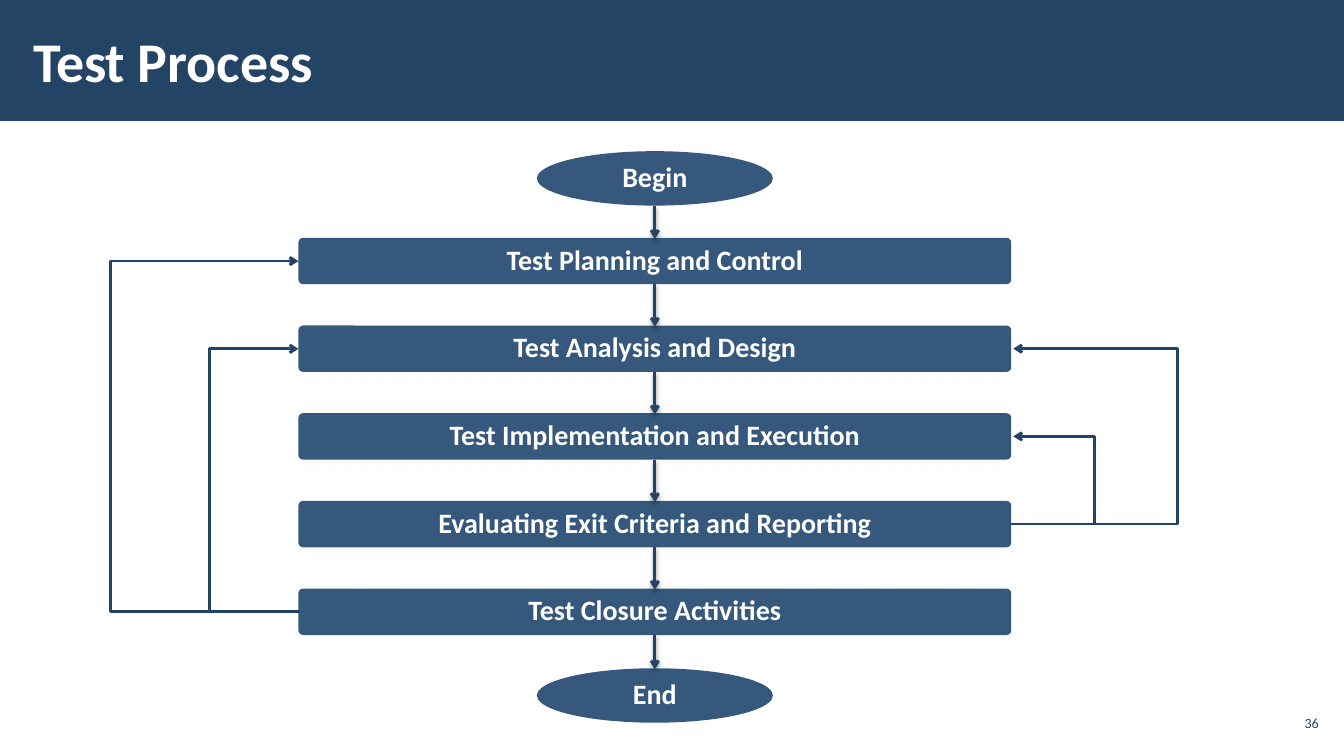
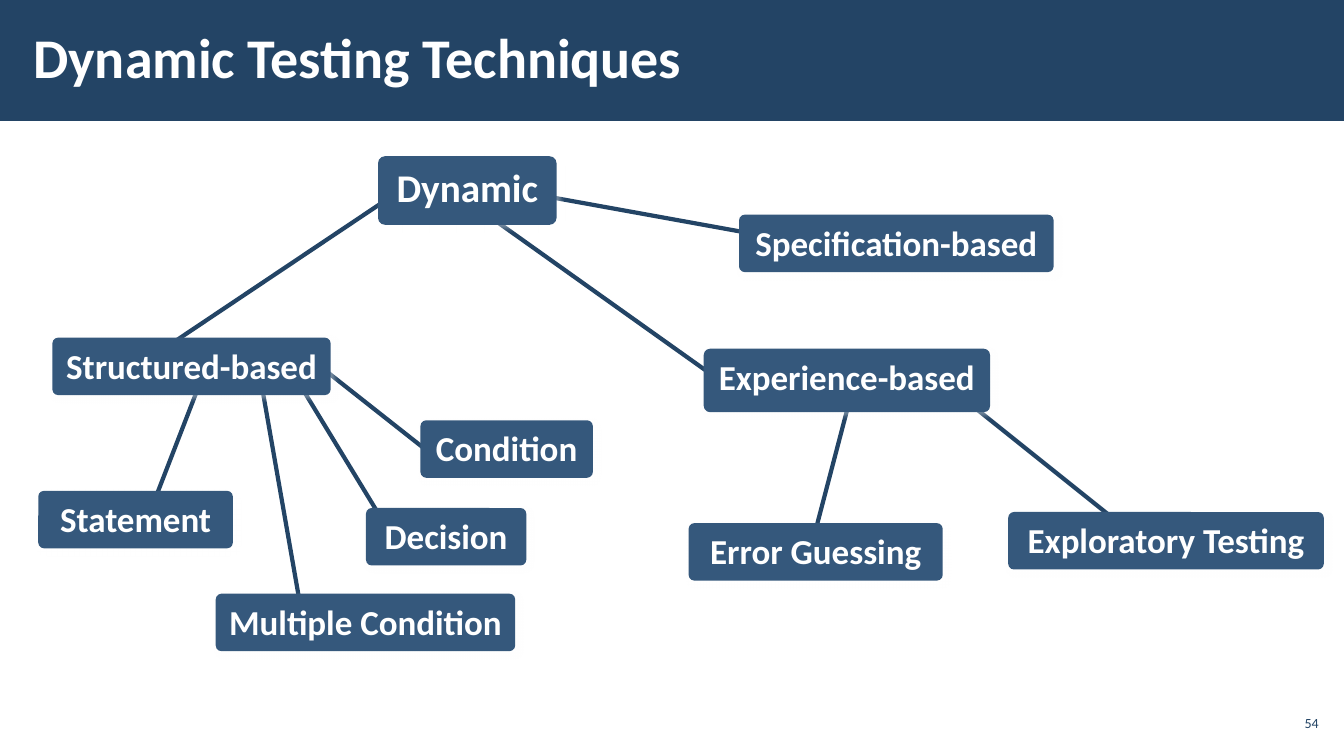
from dataclasses import dataclass
from typing import NamedTuple

from lxml import etree
from pptx import Presentation
from pptx.dml.color import RGBColor
from pptx.enum.shapes import MSO_CONNECTOR, MSO_SHAPE
from pptx.enum.text import MSO_ANCHOR, PP_ALIGN
from pptx.oxml.ns import qn
from pptx.util import Inches, Pt

RECT, ROUNDED, OVAL = MSO_SHAPE.RECTANGLE, MSO_SHAPE.ROUNDED_RECTANGLE, MSO_SHAPE.OVAL
STRAIGHT, ELBOW = MSO_CONNECTOR.STRAIGHT, MSO_CONNECTOR.ELBOW
TOP, MIDDLE = MSO_ANCHOR.TOP, MSO_ANCHOR.MIDDLE
LEFT, CENTER, RIGHT = PP_ALIGN.LEFT, PP_ALIGN.CENTER, PP_ALIGN.RIGHT


class Shadow(NamedTuple):
    color: str
    alpha: int
    blur: float
    distance: float
    angle: int


@dataclass(frozen=True)
class Theme:
    font: str = "Calibri"
    navy: RGBColor = RGBColor(0x23, 0x44, 0x65)
    box: RGBColor = RGBColor(0x35, 0x58, 0x7C)
    white: RGBColor = RGBColor(0xFF, 0xFF, 0xFF)
    title: int = 40
    root: int = 28
    node: int = 25
    step: int = 20
    number: int = 10
    flow_line: int = 2
    tree_line: int = 3
    box_shadow: Shadow = Shadow("FFFFFF", 40, 4, 3, 45)
    arrow_shadow: Shadow = Shadow("000000", 38, 3.1, 1.6, 90)


THEME = Theme()


class Box(NamedTuple):
    left: float
    top: float
    width: float
    height: float


class Node(NamedTuple):
    text: str
    box: Box
    size: int = THEME.node


class Edge(NamedTuple):
    x1: float
    y1: float
    x2: float
    y2: float


class Loop(NamedTuple):
    source: int
    target: int
    lane: float


STEPS = (
    "Test Planning and Control",
    "Test Analysis and Design",
    "Test Implementation and Execution",
    "Evaluating Exit Criteria and Reporting",
    "Test Closure Activities",
)
STEP = Box(2.96, 2.36, 7.07, 0.46)
STEP_PITCH = 0.87
OVAL_WIDTH, OVAL_HEIGHT = 2.34, 0.54
BEGIN_TOP, END_TOP = 1.5, 6.63
LOOP_OFFSET = 0.02

LOOPS = (Loop(4, 0, 1.1), Loop(4, 1, 2.08), Loop(3, 1, 11.67), Loop(3, 2, 10.85))

NODES = (
    Node("Dynamic", Box(3.75, 1.55, 1.77, 0.68), THEME.root),
    Node("Structured-based", Box(0.52, 3.35, 2.76, 0.57)),
    Node("Specification-based", Box(7.33, 2.13, 3.12, 0.57)),
    Node("Statement", Box(0.38, 4.87, 1.93, 0.57)),
    Node("Error Guessing", Box(6.83, 5.19, 2.52, 0.57)),
    Node("Experience-based", Box(6.98, 3.46, 2.84, 0.63)),
    Node("Decision", Box(3.63, 5.04, 1.59, 0.57)),
    Node("Condition", Box(4.17, 4.17, 1.71, 0.57)),
    Node("Multiple Condition", Box(2.14, 5.89, 2.97, 0.57)),
    Node("Exploratory Testing", Box(10, 5.08, 3.13, 0.57)),
)
EDGES = (
    Edge(1.7, 3.41, 4, 1.87),
    Edge(8.08, 2.43, 4.93, 1.86),
    Edge(7.33, 3.91, 4.76, 2.08),
    Edge(1.48, 5.1, 2.03, 3.68),
    Edge(3, 6.13, 2.59, 3.79),
    Edge(3.89, 5.32, 2.91, 3.71),
    Edge(4.31, 4.53, 3.08, 3.56),
    Edge(8, 5.6, 8.43, 3.96),
    Edge(11.4, 5.43, 9.4, 3.83),
)


def set_effects(sp, shadow: Shadow | None = None) -> None:
    properties = sp._element.spPr
    for old in properties.findall(qn("a:effectLst")):
        properties.remove(old)
    effects = etree.SubElement(properties, qn("a:effectLst"))
    if shadow:
        outer = etree.SubElement(
            effects, qn("a:outerShdw"), blurRad=str(Pt(shadow.blur)),
            dist=str(Pt(shadow.distance)), dir=str(shadow.angle * 60000), rotWithShape="0",
        )
        color = etree.SubElement(outer, qn("a:srgbClr"), val=shadow.color)
        etree.SubElement(color, qn("a:alpha"), val=str(shadow.alpha * 1000))


def write(sp, text: str, size: int, color: RGBColor, align: PP_ALIGN, anchor: MSO_ANCHOR,
          insets: tuple[float, float], bold: bool = True, spacing: float = 1.0,
          wrap: bool = False) -> None:
    tf = sp.text_frame
    tf.word_wrap = wrap
    tf.vertical_anchor = anchor
    tf.margin_left = tf.margin_right = Inches(insets[0])
    tf.margin_top = tf.margin_bottom = Inches(insets[1])
    p = tf.paragraphs[0]
    p.text = text
    p.alignment = align
    p.line_spacing = spacing
    p.font.name, p.font.size = THEME.font, Pt(size)
    p.font.bold, p.font.color.rgb = bold, color


def add_box(s, kind: MSO_SHAPE, box: Box, fill: RGBColor, shadow: Shadow | None = None):
    sp = s.shapes.add_shape(kind, *(Inches(v) for v in box))
    sp.fill.solid()
    sp.fill.fore_color.rgb = fill
    sp.line.fill.background()
    sp.shadow.inherit = False
    if kind == ROUNDED:
        sp.adjustments[0] = 0.1
    if shadow:
        set_effects(sp, shadow)
    return sp


def add_textbox(s, box: Box):
    return s.shapes.add_textbox(*(Inches(v) for v in box))


def add_line(s, edge: Edge, width: int, kind: MSO_CONNECTOR = STRAIGHT,
             arrow: bool = False, shadow: Shadow | None = None):
    line = s.shapes.add_connector(kind, *(Inches(v) for v in edge))
    line.line.color.rgb = THEME.navy
    line.line.width = Pt(width)
    if arrow:
        etree.SubElement(line.line._get_or_add_ln(), qn("a:tailEnd"), type="arrow")
    set_effects(line, shadow)
    return line


def add_loop(s, loop: Loop) -> None:
    start_y, end_y = (STEP.top + i * STEP_PITCH + STEP.height / 2
                      for i in (loop.source, loop.target))
    leftward = loop.lane < STEP.left
    if leftward:
        start_x, end_x = STEP.left + LOOP_OFFSET, STEP.left
        edge = Edge(end_x, end_y, start_x, start_y)
    else:
        start_x = STEP.left + STEP.width
        end_x = start_x + LOOP_OFFSET
        edge = Edge(start_x, start_y, end_x, end_y)
    line = add_line(s, edge, THEME.flow_line, ELBOW, arrow=True)
    properties = line._element.spPr
    if leftward:
        properties.find(qn("a:xfrm")).set("rot", "10800000")
    bend = round((loop.lane - start_x) / (end_x - start_x) * 100000)
    geometry = properties.find(qn("a:prstGeom"))
    guides = geometry.find(qn("a:avLst"))
    if guides is None:
        guides = etree.SubElement(geometry, qn("a:avLst"))
    etree.SubElement(guides, qn("a:gd"), name="adj1", fmla=f"val {bend}")


def start_slide(prs, title: str, number: int, title_spacing: float = 1.0):
    s = prs.slides.add_slide(prs.slide_layouts[6])
    add_box(s, RECT, Box(0, 0, 13.33, 1.2), THEME.navy)
    write(add_textbox(s, Box(0.21, 0.11, 10.39, 0.97)), title, THEME.title, THEME.white,
          LEFT, MIDDLE, (0.12, 0.04), spacing=title_spacing, wrap=True)
    write(add_textbox(s, Box(12.65, 7, 0.47, 0.34)), str(number), THEME.number, THEME.navy,
          RIGHT, MIDDLE, (0.04, 0.04), bold=False, wrap=True)
    return s


def build_process(prs) -> None:
    s = start_slide(prs, "Test Process", 36)
    center = STEP.left + STEP.width / 2
    oval_left = center - OVAL_WIDTH / 2
    stages = [
        ("Begin", OVAL, Box(oval_left, BEGIN_TOP, OVAL_WIDTH, OVAL_HEIGHT)),
        *((text, ROUNDED, STEP._replace(top=STEP.top + i * STEP_PITCH))
          for i, text in enumerate(STEPS)),
        ("End", OVAL, Box(oval_left, END_TOP, OVAL_WIDTH, OVAL_HEIGHT)),
    ]
    for text, kind, box in stages:
        sp = add_box(s, kind, box, THEME.box, THEME.box_shadow)
        write(sp, text, THEME.step, THEME.white, CENTER, MIDDLE, (0.08, 0.08), spacing=0.9)
    for (_, _, upper), (_, _, lower) in zip(stages, stages[1:]):
        add_line(s, Edge(center, upper.top + upper.height, center, lower.top + 0.01),
                 THEME.flow_line, arrow=True, shadow=THEME.arrow_shadow)
    for loop in LOOPS:
        add_loop(s, loop)


def build_techniques(prs) -> None:
    s = start_slide(prs, "Dynamic Testing Techniques", 54, title_spacing=0.9)
    for edge in EDGES:
        add_line(s, edge, THEME.tree_line)
    for node in NODES:
        sp = add_box(s, ROUNDED, node.box, THEME.box, THEME.box_shadow)
        write(sp, node.text, node.size, THEME.white, CENTER, TOP, (0.1, 0.05))


def main() -> None:
    prs = Presentation()
    prs.slide_width, prs.slide_height = Inches(13.33), Inches(7.5)
    build_process(prs)
    build_techniques(prs)
    prs.save("out.pptx")


if __name__ == "__main__":
    main()
